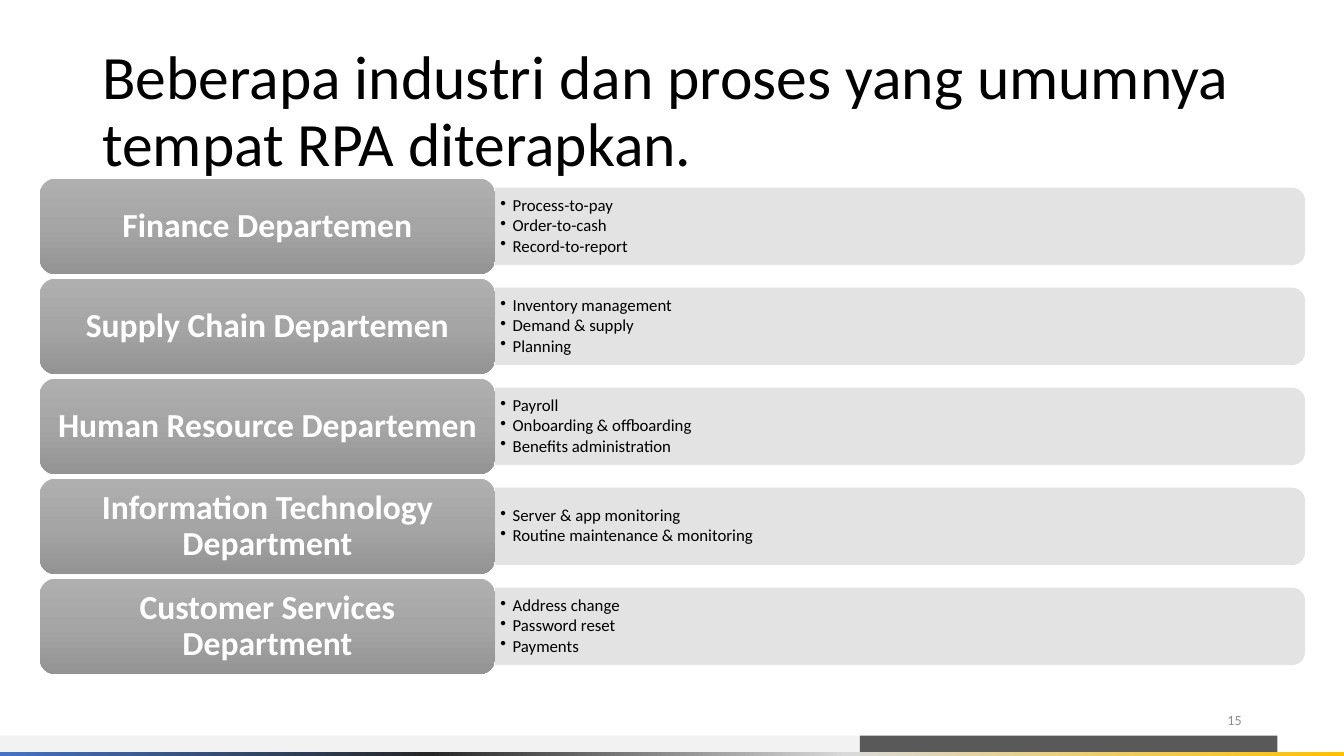
from lxml import etree
from pptx import Presentation
from pptx.dml.color import RGBColor
from pptx.enum import shapes, text
from pptx.oxml.ns import qn
from pptx.util import Cm, Pt

BLACK = RGBColor(0x00, 0x00, 0x00)
WHITE = RGBColor(0xFF, 0xFF, 0xFF)
PAGE_GREY = RGBColor(0x8C, 0x8C, 0x8C)
BAR_GREY = RGBColor(0xE1, 0xE1, 0xE1)
FOOTER_LIGHT = RGBColor(0xF2, 0xF2, 0xF2)
FOOTER_DARK = RGBColor(0x59, 0x59, 0x59)
LABEL_GRADIENT = [
    (0, RGBColor(0xAF, 0xAF, 0xAF)),
    (50, RGBColor(0xA5, 0xA5, 0xA5)),
    (100, RGBColor(0x93, 0x93, 0x93)),
]
STRIP_GRADIENT = [
    (0, RGBColor(0xFF, 0xC0, 0x00)),
    (37, RGBColor(0xD9, 0xD9, 0xD9)),
    (68, RGBColor(0x26, 0x26, 0x26)),
    (100, RGBColor(0x44, 0x72, 0xC4)),
]

DEPARTMENTS = [
    ("Finance Departemen", ["Process-to-pay", "Order-to-cash", "Record-to-report"]),
    ("Supply Chain Departemen", ["Inventory management", "Demand & supply", "Planning"]),
    ("Human Resource Departemen",
     ["Payroll", "Onboarding & offboarding", "Benefits administration"]),
    ("Information Technology Department",
     ["Server & app monitoring", "Routine maintenance & monitoring"]),
    ("Customer Services Department", ["Address change", "Password reset", "Payments"]),
]

FIRST_ROW_TOP, ROW_PITCH = 4.5, 2.52
LABEL_LEFT, LABEL_WIDTH, LABEL_HEIGHT = 1, 11.48, 2.41
BAR_LEFT, BAR_LENGTH, BAR_THICKNESS = 12.48, 20.4, 1.93
LIST_WIDTH, LIST_HEIGHT = 20.3, 1.73


def add_bullet(paragraph, indent=Cm(0.31)):
    properties = paragraph._p.get_or_add_pPr()
    properties.set("marL", str(indent))
    properties.set("indent", str(-indent))
    etree.SubElement(properties, qn("a:buChar")).set("char", "•")


def write_text(frame, lines, *, size, color, bold=False, align=text.PP_ALIGN.LEFT,
               space_after=0, bullets=False, insets=(0.25, 0.13)):
    """Fill a text frame, one paragraph a line; insets are (side, top and bottom) in cm."""
    frame.word_wrap = True
    frame.vertical_anchor = text.MSO_ANCHOR.MIDDLE
    frame.margin_left = frame.margin_right = Cm(insets[0])
    frame.margin_top = frame.margin_bottom = Cm(insets[1])
    for index, line in enumerate(lines):
        paragraph = frame.add_paragraph() if index else frame.paragraphs[0]
        paragraph.alignment = align
        paragraph.line_spacing = 0.9
        paragraph.space_before = Pt(0)
        paragraph.space_after = Pt(space_after)
        if bullets:
            add_bullet(paragraph)
        run = paragraph.add_run()
        run.text = line
        run.font.name = "Calibri"
        run.font.size = Pt(size)
        run.font.bold = bold
        run.font.color.rgb = color


def add_text(slide, lines, left, top, width, height, **text_format):
    box = slide.shapes.add_textbox(Cm(left), Cm(top), Cm(width), Cm(height))
    write_text(box.text_frame, lines, **text_format)


def add_panel(slide, kind, left, top, width, height, fill=None):
    panel = slide.shapes.add_shape(kind, Cm(left), Cm(top), Cm(width), Cm(height))
    panel.shadow.inherit = False
    panel.line.fill.background()
    if fill is not None:
        panel.fill.solid()
        panel.fill.fore_color.rgb = fill
    return panel


def set_gradient(panel, stops, angle):
    """Apply any number of (percent, colour) stops; angle runs counter-clockwise."""
    panel.fill.gradient()
    panel.fill.gradient_angle = angle
    stop_list = panel._element.spPr.find(qn("a:gradFill")).find(qn("a:gsLst"))
    for old_stop in list(stop_list):
        stop_list.remove(old_stop)
    for percent, color in stops:
        stop = etree.SubElement(stop_list, qn("a:gs"), pos=str(percent * 1000))
        etree.SubElement(stop, qn("a:srgbClr"), val=str(color))


def set_opacity(panel, percent):
    for color in panel._element.spPr.iter(qn("a:srgbClr")):
        etree.SubElement(color, qn("a:alpha"), val=str(percent * 1000))


def add_process_bar(slide, center_y):
    """Add a bar turned a quarter so that its rounded corners face right."""
    center_x = BAR_LEFT + BAR_LENGTH / 2
    bar = add_panel(slide, shapes.MSO_SHAPE.ROUND_2_SAME_RECTANGLE,
                    center_x - BAR_THICKNESS / 2, center_y - BAR_LENGTH / 2,
                    BAR_THICKNESS, BAR_LENGTH, BAR_GREY)
    bar.rotation = 90
    bar.line.color.rgb = BAR_GREY
    bar.line.width = Pt(0.5)
    set_opacity(bar, 90)


def add_department(slide, top, department, processes):
    center_y = top + LABEL_HEIGHT / 2
    add_process_bar(slide, center_y)
    add_text(slide, processes, BAR_LEFT, center_y - LIST_HEIGHT / 2, LIST_WIDTH, LIST_HEIGHT,
             size=12, color=BLACK, space_after=1.5, bullets=True, insets=(0.13, 0.08))
    label = add_panel(slide, shapes.MSO_SHAPE.ROUNDED_RECTANGLE,
                      LABEL_LEFT, top, LABEL_WIDTH, LABEL_HEIGHT)
    set_gradient(label, LABEL_GRADIENT, 270)
    write_text(label.text_frame, [department], size=24, color=WHITE, bold=True,
               align=text.PP_ALIGN.CENTER)


def add_footer(slide):
    rectangle = shapes.MSO_SHAPE.RECTANGLE
    add_panel(slide, rectangle, 0, 18.54, 26.1, 0.41, FOOTER_LIGHT)
    add_panel(slide, rectangle, 21.67, 18.54, 10.52, 0.41, FOOTER_DARK)
    strip = add_panel(slide, rectangle, 0, 18.95, 33.87, 0.1)
    set_gradient(strip, STRIP_GRADIENT, 180)


def main():
    deck = Presentation()
    deck.slide_width, deck.slide_height = Cm(33.87), Cm(19.05)
    slide = deck.slides.add_slide(deck.slide_layouts[6])
    add_footer(slide)
    add_text(slide, ["Beberapa industri dan proses yang umumnya tempat RPA diterapkan."],
             2.33, 1.01, 29.21, 3.68, size=44, color=BLACK)
    for row, (department, processes) in enumerate(DEPARTMENTS):
        add_department(slide, FIRST_ROW_TOP + row * ROW_PITCH, department, processes)
    add_text(slide, ["15"], 23.92, 17.66, 7.62, 1.01, size=10, color=PAGE_GREY,
             align=text.PP_ALIGN.RIGHT, space_after=6)
    deck.save("out.pptx")


if __name__ == "__main__":
    main()
